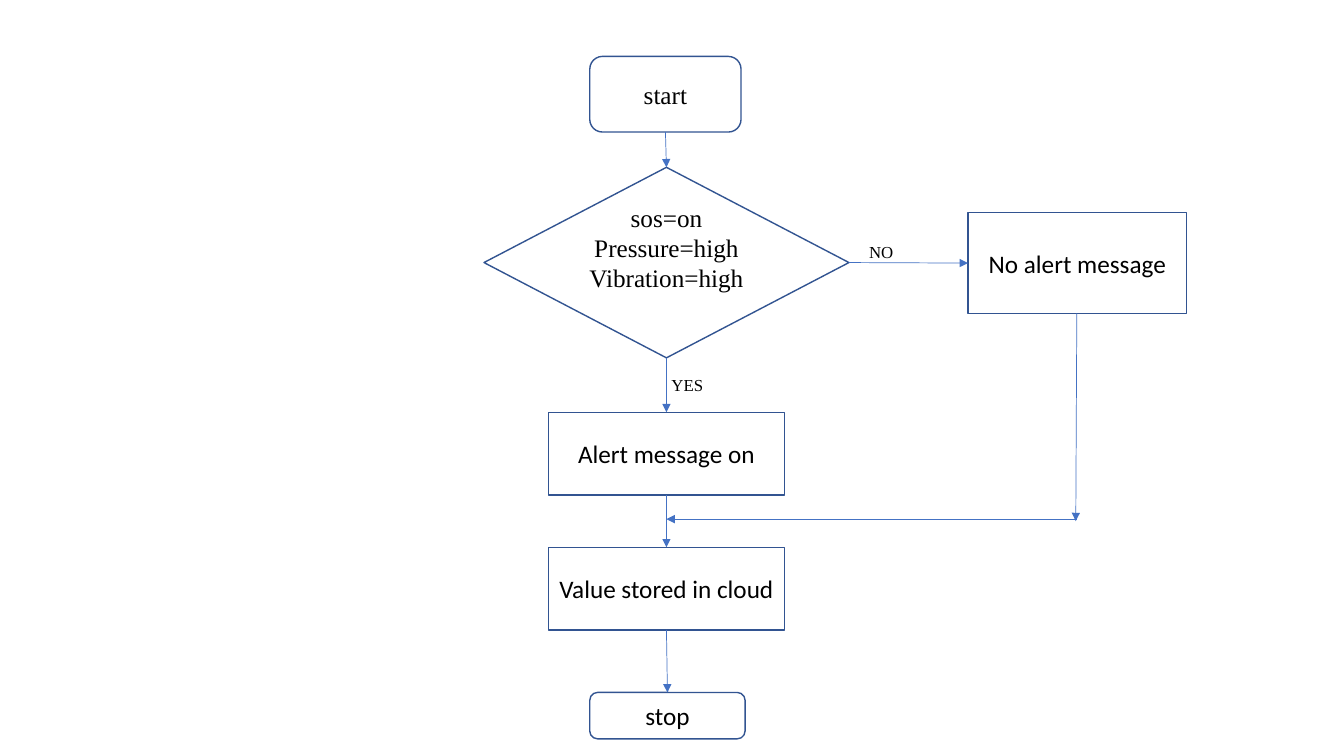
"""Build a flowchart slide for an alert decision."""
from pptx import Presentation
from pptx.dml.color import RGBColor
from pptx.enum.shapes import MSO_CONNECTOR, MSO_SHAPE
from pptx.enum.text import MSO_ANCHOR, PP_ALIGN
from pptx.oxml.ns import qn
from pptx.util import Inches, Pt
from lxml.etree import SubElement

SERIF, SANS = "Times New Roman", "Calibri"
BLACK, WHITE, OUTLINE, ARROW = "000000", "FFFFFF", "325491", "4472C4"
TOP, LEFT, BOTTOM, RIGHT = range(4)
PROCESS = MSO_SHAPE.FLOWCHART_PROCESS

STEPS = {
    "start": (MSO_SHAPE.ROUNDED_RECTANGLE, (5.85, 0.56, 1.5, 0.75), ["start"], SERIF),
    "decision": (MSO_SHAPE.FLOWCHART_DECISION, (4.8, 1.66, 3.62, 1.89),
                 ["sos=on", "Pressure=high", "Vibration=high"], SERIF),
    "no alert": (PROCESS, (9.6, 2.11, 2.17, 1), ["No alert message"], SANS),
    "alert": (PROCESS, (5.44, 4.09, 2.34, 0.82), ["Alert message on"], SANS),
    "cloud": (PROCESS, (5.44, 5.43, 2.34, 0.82), ["Value stored in cloud"], SANS),
    "stop": (MSO_SHAPE.FLOWCHART_ALTERNATE_PROCESS, (5.85, 6.87, 1.54, 0.46), ["stop"], SANS),
}
FLOWS = [
    ("start", BOTTOM, "decision", TOP),
    ("decision", BOTTOM, "alert", TOP),
    ("decision", RIGHT, "no alert", LEFT),
    ("alert", BOTTOM, "cloud", TOP),
    ("cloud", BOTTOM, "stop", TOP),
]
MERGES = [((10.68, 3.11), (10.67, 5.17)), ((10.68, 5.15), (6.61, 5.15))]
NO_LABEL, YES_LABEL = (8.62, 2.35, 0.4, 0.3), (6.66, 3.67, 0.5, 0.3)


def color(value):
    return RGBColor.from_string(value)


def place(shape, box):
    shape.left, shape.top, shape.width, shape.height = map(Inches, box)


def write(shape, lines, font=SERIF, size=18, align=PP_ALIGN.CENTER, margin=0.05, bottom=0.05,
          wrap=True):
    frame = shape.text_frame
    frame.text = "\n".join(lines)
    frame.word_wrap = wrap
    frame.vertical_anchor = MSO_ANCHOR.MIDDLE
    frame.margin_left = frame.margin_right = Inches(margin)
    frame.margin_top, frame.margin_bottom = Inches(0.05), Inches(bottom)
    for paragraph in frame.paragraphs:
        paragraph.alignment = align
        for run in paragraph.runs:
            run.font.name, run.font.size = font, Pt(size)
            run.font.color.rgb = color(BLACK)


def add_step(slide, kind, box, lines, font):
    shape = slide.shapes.add_shape(kind, *map(Inches, box))
    shape.shadow.inherit = False
    shape.fill.solid()
    shape.fill.fore_color.rgb = color(WHITE)
    shape.line.color.rgb = color(OUTLINE)
    shape.line.width = Pt(1)
    write(shape, lines, font=font, bottom=0.35 if len(lines) > 1 else 0.05)
    return shape


def add_arrow(slide, start=(0, 0), end=(0, 0)):
    arrow = slide.shapes.add_connector(MSO_CONNECTOR.STRAIGHT, *map(Inches, start + end))
    arrow.line.color.rgb = color(ARROW)
    arrow.line.width = Pt(0.5)
    SubElement(arrow.line._get_or_add_ln(), qn("a:tailEnd"), type="triangle")
    SubElement(arrow._element.spPr, qn("a:effectLst"))
    return arrow


def add_label(shape, text, box):
    place(shape, box)
    write(shape, [text], size=12, align=PP_ALIGN.LEFT, margin=0, wrap=False)


presentation = Presentation()
presentation.slide_width, presentation.slide_height = Inches(13.33), Inches(7.5)
slide = presentation.slides.add_slide(presentation.slide_layouts[5])

steps = {name: add_step(slide, *step) for name, step in STEPS.items()}
for source, source_side, target, target_side in FLOWS:
    arrow = add_arrow(slide)
    arrow.begin_connect(steps[source], source_side)
    arrow.end_connect(steps[target], target_side)
for start, end in MERGES:
    add_arrow(slide, start, end)

add_label(slide.shapes.title, "NO", NO_LABEL)
add_label(slide.shapes.add_textbox(*map(Inches, YES_LABEL)), "YES", YES_LABEL)
presentation.save("out.pptx")
